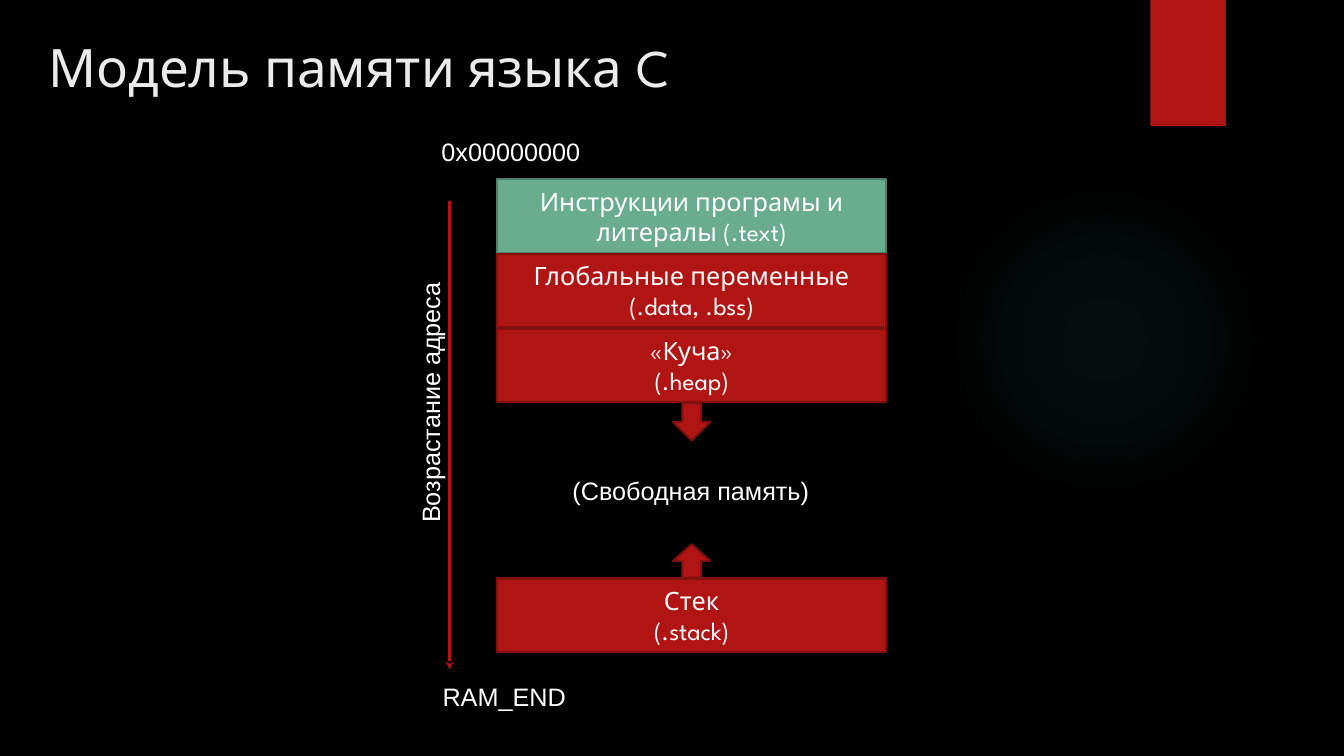
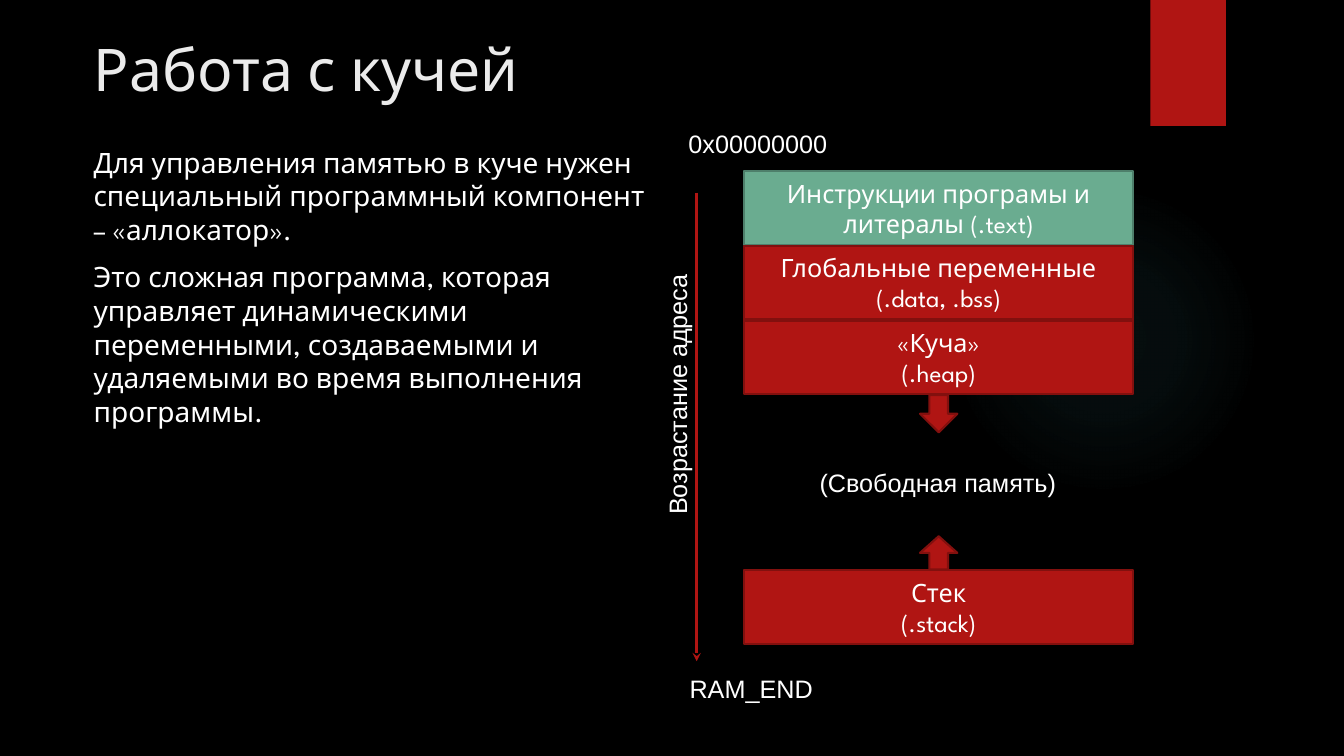
from dataclasses import dataclass

from lxml.etree import SubElement
from pptx import Presentation
from pptx.dml.color import RGBColor
from pptx.enum.shapes import MSO_CONNECTOR, MSO_SHAPE
from pptx.enum.text import MSO_ANCHOR, MSO_AUTO_SIZE, PP_ALIGN
from pptx.oxml import parse_xml
from pptx.oxml.ns import nsdecls, qn
from pptx.util import Inches, Pt


@dataclass(frozen=True)
class Theme:
    background: str = "000000"
    title: str = "EBEBEB"
    text: str = "FFFFFF"
    red: str = "B01513"
    red_edge: str = "82100E"
    green: str = "6AAC90"
    green_edge: str = "4E7F6B"
    glow: str = "50B9C1"
    heading_font: str = "League Spartan"
    label_font: str = "Arial"
    body_size: float = 20
    label_size: float = 18
    edge_width: float = 1.5
    axis_width: float = 2


THEME = Theme()

# Each slide: title, its box and size, body paragraphs, top left of the memory map
SLIDES = [
    {
        "title": "Модель памяти языка C",
        "title_box": (0.38, 0.29, 8.17, 0.77),
        "title_size": 37.8,
        "body": [],
        "map_origin": (4.93, 1.78),
    },
    {
        "title": "Работа с кучей",
        "title_box": (0.83, 0.28, 8.17, 0.85),
        "title_size": 42,
        "body": [
            "Для управления памятью в куче нужен специальный программный "
            "компонент – «аллокатор».",
            "Это сложная программа, которая управляет динамическими "
            "переменными, создаваемыми и удаляемыми во время выполнения "
            "программы.",
        ],
        "map_origin": (7.38, 1.7),
    },
]
BODY_BOX = (0.83, 1.39, 5.67, 5.51)

# Memory sections: lines of text, row counted from the top, fill, edge
SECTIONS = [
    (["Инструкции програмы и литералы (.text)"], 0, THEME.green, THEME.green_edge),
    (["Глобальные переменные", "(.data, .bss)"], 1, THEME.red, THEME.red_edge),
    (["«Куча»", "(.heap)"], 2, THEME.red, THEME.red_edge),
    (["Стек", "(.stack)"], 5.35, THEME.red, THEME.red_edge),
]
SECTION_WIDTH, SECTION_HEIGHT, ROW_PITCH = 3.86, 0.73, 0.74

# Distances below are measured from the top left of the memory map
GROWTH_ARROWS = [(2.22, 0.37, 0), (3.62, 0.33, 180)]  # top, height, rotation
GROWTH_ARROW_WIDTH = 0.37
AXIS_X, AXIS_TOP, AXIS_BOTTOM = -0.47, 0.21, 4.86
LABEL_HEIGHT = 0.4
LABELS = [  # text, left, top, width, alignment, rotation
    ("0x00000000", -0.65, -0.48, 1.59, PP_ALIGN.LEFT, 0),
    ("RAM_END", -0.66, 4.93, 1.44, PP_ALIGN.RIGHT, 0),
    ("Возрастание адреса", -1.97, 2, 2.61, PP_ALIGN.LEFT, 270),
    ("(Свободная память)", 0.65, 2.89, 2.57, PP_ALIGN.LEFT, 0),
]


def rgb(color):
    return RGBColor.from_string(color)


def inches(*lengths):
    return [Inches(length) for length in lengths]


def write(frame, lines, size, font, color=THEME.text, align=PP_ALIGN.LEFT, before=0):
    for number, line in enumerate(lines):
        paragraph = frame.paragraphs[0] if number == 0 else frame.add_paragraph()
        paragraph.alignment = align
        paragraph.space_before = Pt(before)
        run = paragraph.add_run()
        run.text = line
        run.font.size = Pt(size)
        run.font.name = font
        run.font.color.rgb = rgb(color)


def add_text(slide, box, lines, size, font, wrap=True, rotation=0, **style):
    textbox = slide.shapes.add_textbox(*inches(*box))
    textbox.rotation = rotation
    frame = textbox.text_frame
    frame.word_wrap = wrap
    frame.auto_size = MSO_AUTO_SIZE.NONE if wrap else MSO_AUTO_SIZE.SHAPE_TO_FIT_TEXT
    write(frame, lines, size, font, **style)


def add_block(slide, preset, box, fill, edge=None):
    block = slide.shapes.add_shape(preset, *inches(*box))
    block.shadow.inherit = False
    block.fill.solid()
    block.fill.fore_color.rgb = rgb(fill)
    if edge:
        block.line.color.rgb = rgb(edge)
        block.line.width = Pt(THEME.edge_width)
    else:
        block.line.fill.background()
    return block


def add_glow(slide):
    glow = add_block(slide, MSO_SHAPE.OVAL, (9.41, 1.83, 3.08, 3.08), THEME.glow)
    stops = "".join(
        f'<a:gs pos="{position * 1000}"><a:srgbClr val="{THEME.glow}">'
        f'<a:alpha val="{opacity * 1000}"/></a:srgbClr></a:gs>'
        for position, opacity in [(0, 7), (36, 6), (69, 0)]
    )
    gradient = parse_xml(
        f'<a:gradFill {nsdecls("a")}><a:gsLst>{stops}</a:gsLst><a:path path="circle">'
        '<a:fillToRect l="50000" t="50000" r="50000" b="50000"/></a:path></a:gradFill>'
    )
    properties = glow.element.spPr
    properties.replace(properties.find(qn("a:solidFill")), gradient)


def add_tab(slide):
    tab = add_block(slide, MSO_SHAPE.RECTANGLE, (11.41, 0, 0.75, 1.25), THEME.red)
    tab.element.spPr.find(qn("a:effectLst")).append(parse_xml(
        f'<a:outerShdw {nsdecls("a")} blurRad="{Pt(3)}" dist="{Pt(2)}" dir="5400000">'
        '<a:srgbClr val="000000"><a:alpha val="45000"/></a:srgbClr></a:outerShdw>'
    ))


def add_address_axis(slide, x, top, bottom):
    axis = slide.shapes.add_connector(
        MSO_CONNECTOR.STRAIGHT, *inches(x, top, x, bottom)
    )
    axis.line.color.rgb = rgb(THEME.red)
    axis.line.width = Pt(THEME.axis_width)
    SubElement(axis.line._get_or_add_ln(), qn("a:tailEnd"), type="stealth")
    SubElement(axis.element.spPr, qn("a:effectLst"))


def add_memory_map(slide, left, top):
    for lines, row, fill, edge in SECTIONS:
        box = (left, top + row * ROW_PITCH, SECTION_WIDTH, SECTION_HEIGHT)
        section = add_block(slide, MSO_SHAPE.RECTANGLE, box, fill, edge)
        frame = section.text_frame
        frame.word_wrap = True
        frame.vertical_anchor = MSO_ANCHOR.MIDDLE
        write(frame, lines, THEME.label_size, THEME.heading_font, align=PP_ALIGN.CENTER)

    arrow_left = left + (SECTION_WIDTH - GROWTH_ARROW_WIDTH) / 2
    for offset, height, rotation in GROWTH_ARROWS:
        box = (arrow_left, top + offset, GROWTH_ARROW_WIDTH, height)
        arrow = add_block(slide, MSO_SHAPE.DOWN_ARROW, box, THEME.red, THEME.red_edge)
        arrow.rotation = rotation

    add_address_axis(slide, left + AXIS_X, top + AXIS_TOP, top + AXIS_BOTTOM)
    for label, dx, dy, width, align, rotation in LABELS:
        add_text(slide, (left + dx, top + dy, width, LABEL_HEIGHT), [label],
                 THEME.label_size, THEME.label_font, wrap=False,
                 rotation=rotation, align=align)


def add_slide(deck, content):
    slide = deck.slides.add_slide(deck.slide_layouts[6])
    slide.background.fill.solid()
    slide.background.fill.fore_color.rgb = rgb(THEME.background)
    add_glow(slide)
    add_tab(slide)
    add_text(slide, content["title_box"], [content["title"]],
             content["title_size"], THEME.heading_font, color=THEME.title)
    if content["body"]:
        add_text(slide, BODY_BOX, content["body"], THEME.body_size,
                 THEME.heading_font, before=10)
    add_memory_map(slide, *content["map_origin"])


def main():
    deck = Presentation()
    deck.slide_width, deck.slide_height = inches(13.33, 7.5)
    for content in SLIDES:
        add_slide(deck, content)
    deck.save("out.pptx")


if __name__ == "__main__":
    main()
